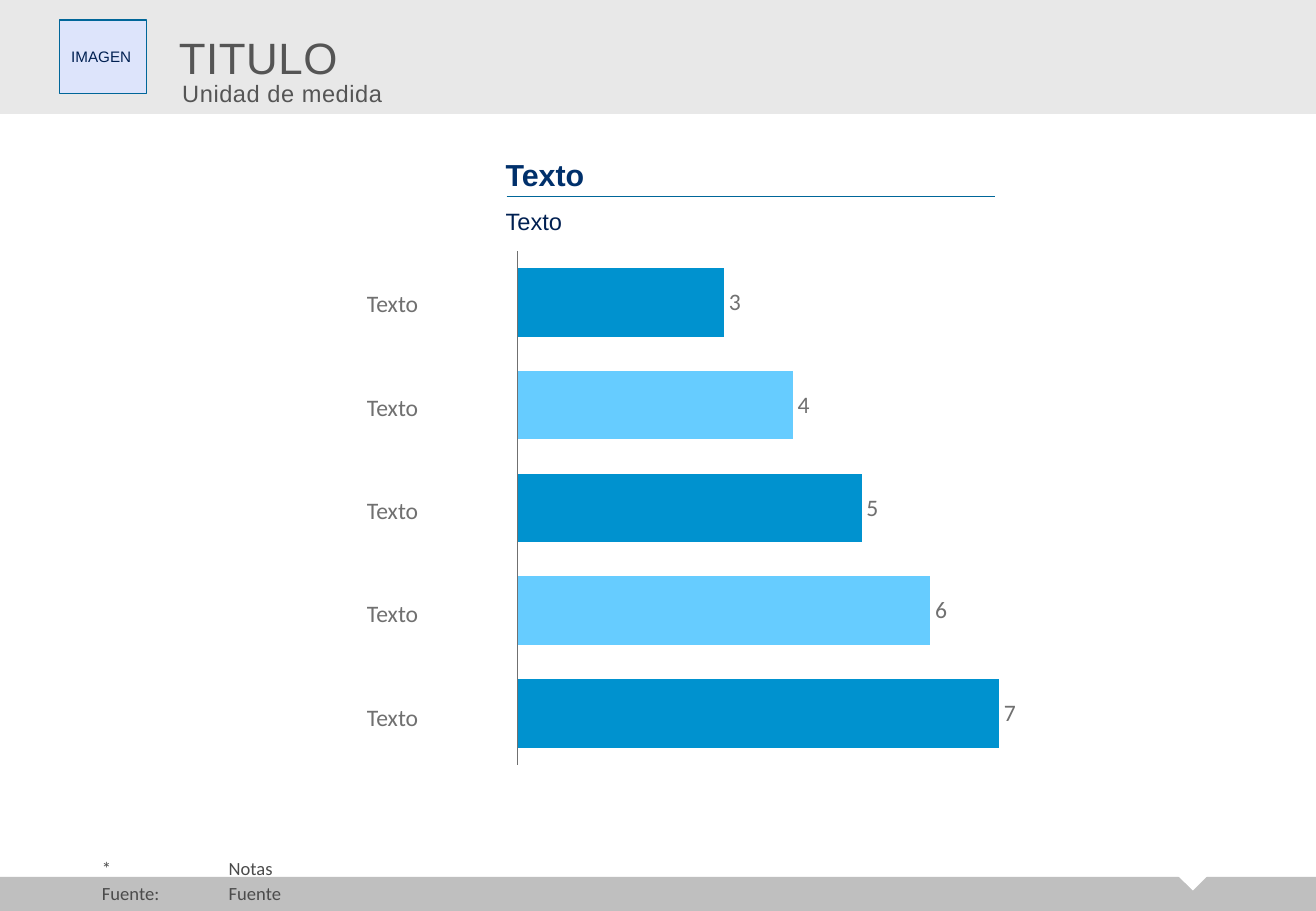
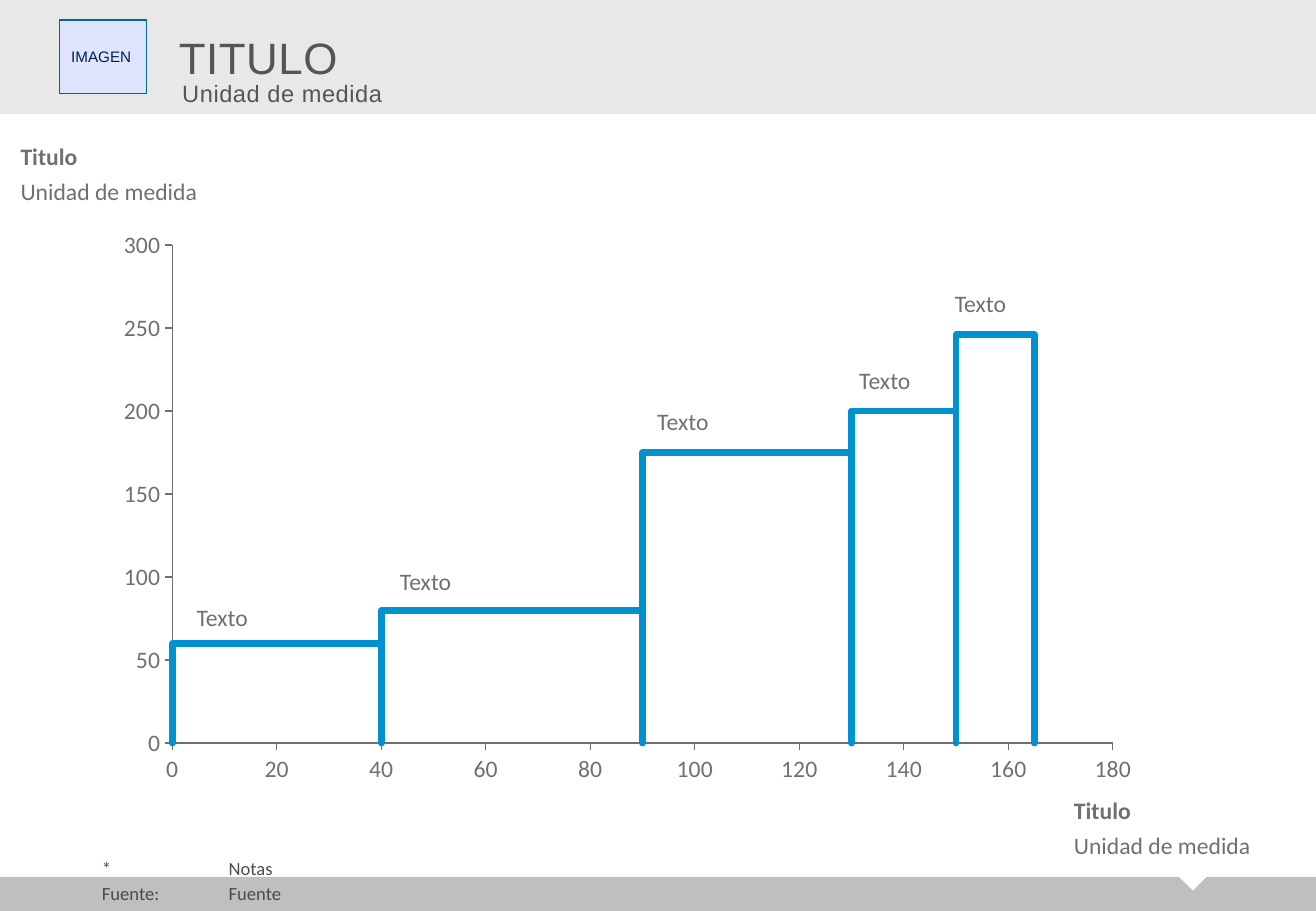
from lxml.etree import SubElement
from pptx import Presentation
from pptx.chart.data import CategoryChartData, XyChartData
from pptx.dml.color import RGBColor
from pptx.enum.chart import XL_CHART_TYPE, XL_LABEL_POSITION, XL_TICK_LABEL_POSITION, XL_TICK_MARK
from pptx.enum.shapes import MSO_CONNECTOR, MSO_SHAPE
from pptx.enum.text import MSO_ANCHOR, MSO_AUTO_SIZE, PP_ALIGN
from pptx.oxml import parse_xml
from pptx.oxml.ns import nsdecls, qn
from pptx.util import Cm, Pt

COLORS = {
    "band": "E8E8E8", "footer": "BFBFBF", "white": "FFFFFF", "title": "555555",
    "image": "DDE4FB", "rule": "006699", "navy": "002052", "heading": "00306B",
    "note": "4B4B4B", "label": "707070", "blue": "0092CF", "sky": "66CCFF",
}
WIDTH, HEIGHT = 27.51, 19.05
LINE = 0.61

BAR_VALUES = [3, 4, 5, 6, 7]
# end on the x axis, height, label offset (left, top) in the region
STEPS = [
    (40, 60, 3.68, 9.63), (90, 80, 7.93, 8.89), (130, 175, 13.31, 5.54),
    (150, 200, 17.53, 4.68), (165, 246, 19.53, 3.08),
]


def rgb(name):
    return RGBColor.from_string(COLORS[name])


def place(*lengths):
    return [Cm(length) for length in lengths]


def style_font(font, size, color, name="Calibri", bold=False):
    font.size, font.name, font.bold = Pt(size), name, bold
    font.color.rgb = rgb(color)


def add_run(paragraph, text, size, color, name="Calibri", bold=False, spacing=0):
    run = paragraph.add_run()
    run.text = text
    style_font(run.font, size, color, name, bold)
    if spacing:
        run._r.get_or_add_rPr().set("spc", str(spacing))


def set_frame(frame, anchor, left_margin=0):
    frame.word_wrap = True
    frame.auto_size = MSO_AUTO_SIZE.NONE
    frame.vertical_anchor = anchor
    frame.margin_left = Cm(left_margin)
    frame.margin_right = frame.margin_top = frame.margin_bottom = 0


def add_text(slide, box, text, size=14, color="label", anchor=MSO_ANCHOR.TOP, **style):
    frame = slide.shapes.add_textbox(*place(*box)).text_frame
    set_frame(frame, anchor)
    add_run(frame.paragraphs[0], text, size, color, **style)


def add_block(slide, kind, box, fill, line=None):
    shape = slide.shapes.add_shape(kind, *place(*box))
    shape.shadow.inherit = False
    shape.fill.solid()
    shape.fill.fore_color.rgb = rgb(fill)
    if line:
        shape.line.color.rgb = rgb(line)
        shape.line.width = Pt(0.75)
    else:
        shape.line.fill.background()
    return shape


def add_header(slide, box):
    left, top, width, height = box
    title = slide.shapes.title
    title.left, title.top, title.width, title.height = place(*box)
    title.fill.solid()
    title.fill.fore_color.rgb = rgb("band")
    set_frame(title.text_frame, MSO_ANCHOR.MIDDLE, 3.74)
    paragraph = title.text_frame.paragraphs[0]
    paragraph.alignment = PP_ALIGN.LEFT
    add_run(paragraph, "TITULO", 26, "title", "Arial", spacing=30)

    image = add_block(slide, MSO_SHAPE.RECTANGLE, (left + 1.24, top + 0.42, 1.83, 1.54), "image", "rule")
    set_frame(image.text_frame, MSO_ANCHOR.MIDDLE, 0.25)
    paragraph = image.text_frame.paragraphs[0]
    paragraph.alignment = PP_ALIGN.LEFT
    add_run(paragraph, "IMAGEN", 9, "navy", "Arial")

    add_text(slide, (left + 3.81, top + 1.65, 22.86, LINE), "Unidad de medida",
             color="title", name="Arial", spacing=30)


def add_footer(slide, box):
    left, top, width, height = box
    add_block(slide, MSO_SHAPE.RECTANGLE, box, "footer")
    notch = add_block(slide, MSO_SHAPE.ISOSCELES_TRIANGLE, (left + 24.63, top - 0.02, 0.61, 0.3), "white")
    notch.rotation = 180

    frame = slide.shapes.add_textbox(*place(left + 2.13, top - 0.38, 23.88, 0.96)).text_frame
    set_frame(frame, MSO_ANCHOR.BOTTOM)
    for index, text in enumerate(["*\tNotas", "Fuente:\tFuente"]):
        paragraph = frame.add_paragraph() if index else frame.paragraphs[0]
        paragraph.line_spacing = 0.95
        paragraph.space_after = Pt(2)
        tabs = SubElement(paragraph._p.get_or_add_pPr(), qn("a:tabLst"))
        SubElement(tabs, qn("a:tab"), pos=str(Cm(2.65)), algn="l")
        add_run(paragraph, text, 11, "note")


def add_chart(slide, kind, box, data, plot_box):
    """Add a plain chart whose inner plot area takes the given fractions."""
    chart = slide.shapes.add_chart(kind, *place(*box), data).chart
    chart.has_title = chart.has_legend = False
    style_font(chart.font, 14, "label")
    chart.plots[0].vary_by_categories = False
    for axis in (chart.category_axis, chart.value_axis):
        axis.has_major_gridlines = False
        axis.format.line.color.rgb = rgb("label")
        axis.format.line.width = Pt(0.75)
    area = chart._chartSpace.chart.plotArea
    for layout in area.findall(qn("c:layout")):
        area.remove(layout)
    sizes = "".join(f'<c:{tag} val="{value}"/>' for tag, value in zip("xywh", plot_box))
    area.insert(0, parse_xml(
        f'<c:layout {nsdecls("c")}><c:manualLayout><c:layoutTarget val="inner"/>'
        f'<c:xMode val="edge"/><c:yMode val="edge"/>{sizes}</c:manualLayout></c:layout>'))
    return chart


def scale_axis(axis, maximum, unit):
    axis.minimum_scale, axis.maximum_scale, axis.major_unit = 0, maximum, unit


def add_bar_region(slide, box):
    left, top, width, height = box
    data = CategoryChartData()
    data.categories = [str(number + 1) for number in range(len(BAR_VALUES))]
    data.add_series("Series 1", BAR_VALUES)
    chart = add_chart(slide, XL_CHART_TYPE.BAR_CLUSTERED, (left + 2.82, top + 1.12, 15.8, 12.9),
                      data, (0.021, 0.058, 0.728, 0.833))
    axis = chart.category_axis
    axis.reverse_order = True
    axis.tick_label_position = XL_TICK_LABEL_POSITION.NONE
    axis.major_tick_mark = axis.minor_tick_mark = XL_TICK_MARK.NONE
    scale_axis(chart.value_axis, 8, 1)
    chart.value_axis.visible = False

    plot = chart.plots[0]
    plot.gap_width = 50
    plot.has_data_labels = True
    plot.data_labels.show_value = True
    plot.data_labels.position = XL_LABEL_POSITION.OUTSIDE_END
    style_font(plot.data_labels.font, 14, "label")
    for index in range(len(BAR_VALUES)):
        fill = plot.series[0].points[index].format.fill
        fill.solid()
        fill.fore_color.rgb = rgb("sky" if index % 2 else "blue")
        add_text(slide, (left, top + 2.67 + 2.16 * index, 3.05, LINE), "Texto")

    rule = slide.shapes.add_connector(
        MSO_CONNECTOR.STRAIGHT, *place(left + 2.92, top + 0.73, left + 13.13, top + 0.73))
    rule.line.color.rgb = rgb("rule")
    rule.line.width = Pt(0.75)
    SubElement(rule._element.spPr, qn("a:effectLst"))
    add_text(slide, (left + 2.9, top, 10.16, 0.64), "Texto", 18, "heading",
             MSO_ANCHOR.BOTTOM, name="Arial", bold=True)
    add_text(slide, (left + 2.9, top + 0.94, 10.16, LINE), "Texto", color="navy", name="Arial")


def add_axis_caption(slide, left, top):
    add_text(slide, (left, top, 4.67, LINE), "Titulo", bold=True)
    add_text(slide, (left, top + 0.73, 4.67, LINE), "Unidad de medida")


def add_step_region(slide, box):
    left, top, width, height = box
    data = XyChartData()
    series = data.add_series("Series 1")
    series.add_data_point(0, 0)
    start = 0
    for end, level, *_ in STEPS:
        for x, y in ((start, level), (end, level), (end, 0)):
            series.add_data_point(x, y)
        start = end
    chart = add_chart(slide, XL_CHART_TYPE.XY_SCATTER_LINES_NO_MARKERS,
                      (left + 1.7, top + 1.6, 21.97, 12.07), data, (0.067, 0.046, 0.895, 0.863))
    scale_axis(chart.category_axis, 180, 20)
    scale_axis(chart.value_axis, 300, 50)
    for axis in (chart.category_axis, chart.value_axis):
        axis.major_tick_mark = XL_TICK_MARK.OUTSIDE
        axis.minor_tick_mark = XL_TICK_MARK.NONE
        style_font(axis.tick_labels.font, 14, "label")

    outline = chart.plots[0].series[0]
    outline.smooth = False
    outline.format.line.color.rgb = rgb("blue")
    outline.format.line.width = Pt(4)
    line = outline._element.spPr.find(qn("a:ln"))
    line.set("cap", "rnd")
    SubElement(line, qn("a:round"))

    add_axis_caption(slide, left, top)
    add_axis_caption(slide, left + 22.02, top + 13.67)
    for _, _, label_left, label_top in STEPS:
        add_text(slide, (left + label_left, top + label_top, 1.68, LINE), "Texto")


def main():
    presentation = Presentation()
    presentation.slide_width, presentation.slide_height = place(WIDTH, HEIGHT)
    regions = [
        (add_bar_region, (7.67, 3.38, 18.62, 14.02)),
        (add_step_region, (0.43, 2.97, 26.69, 15.01)),
    ]
    for add_region, box in regions:
        slide = presentation.slides.add_slide(presentation.slide_layouts[5])
        add_header(slide, (0, 0, WIDTH, 2.38))
        add_footer(slide, (0, 18.34, WIDTH, 0.71))
        add_region(slide, box)
    presentation.save("out.pptx")


if __name__ == "__main__":
    main()
